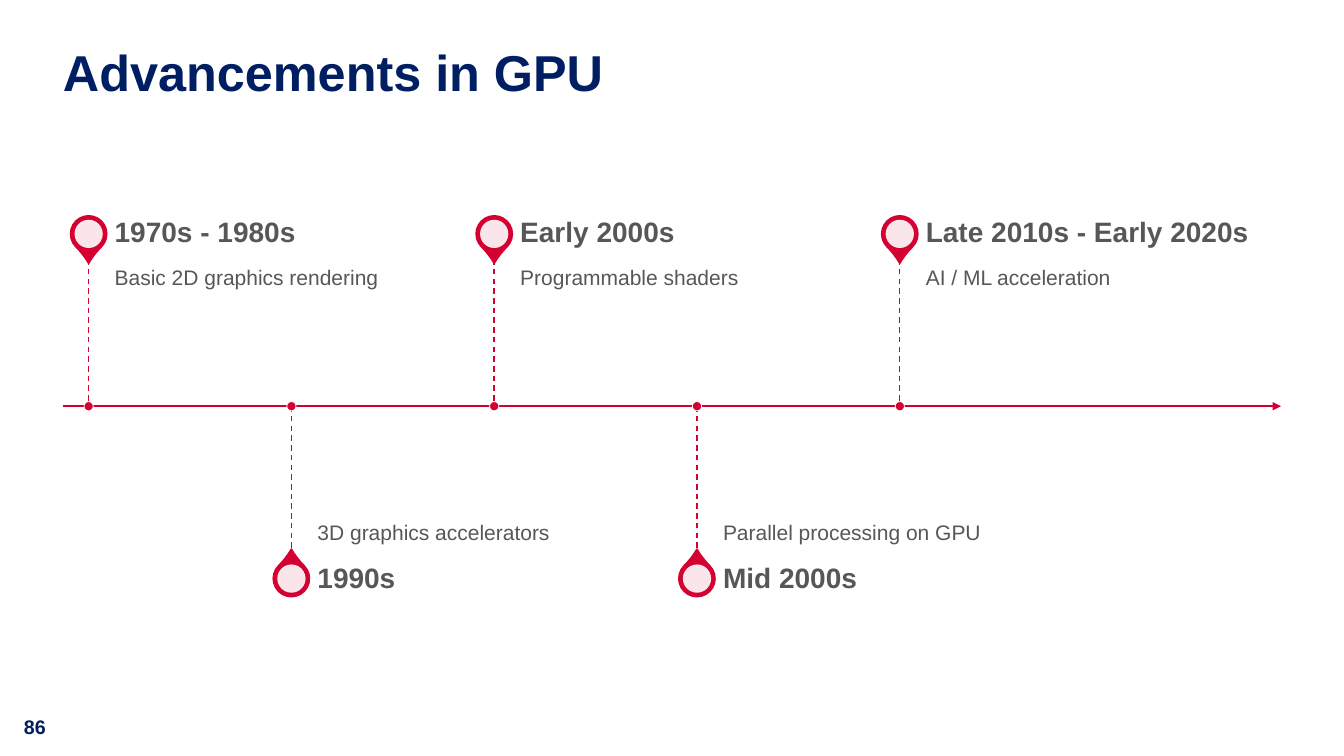
from lxml.etree import SubElement
from pptx import Presentation
from pptx.dml.color import RGBColor
from pptx.enum.dml import MSO_LINE_DASH_STYLE as Dash
from pptx.enum.shapes import MSO_CONNECTOR as Connector, MSO_SHAPE as Shape
from pptx.enum.text import MSO_ANCHOR as Anchor
from pptx.oxml.ns import qn
from pptx.util import Pt

NAVY = "001E62"
RED = "D40032"
GREY = "575757"
WHITE = "FFFFFF"

AXIS_Y = 290.16
FIRST_X = 63.3
STEP_X = 144.85
PIN_OFFSET = 123.1
STEM_LENGTH = 105.1
HEADING_HEIGHT = 36.7
TEXT_WIDTH = 241.2
TEXT_GAP = 18.6

MILESTONES = [
    ("1970s - 1980s", "Basic 2D graphics rendering"),
    ("1990s", "3D graphics accelerators"),
    ("Early 2000s", "Programmable shaders"),
    ("Mid 2000s", "Parallel processing on GPU"),
    ("Late 2010s - Early 2020s", "AI / ML acceleration"),
]


def color(value):
    return RGBColor.from_string(value)


class TimelineSlide:
    font = "Arial"

    def __init__(self, page):
        self.page = page

    def text(self, words, left, top, width, height, size, ink, bold=False,
             anchor=Anchor.TOP, insets=(0, 0, 0, 0), spacing=0.9):
        box = self.page.shapes.add_textbox(Pt(left), Pt(top), Pt(width), Pt(height))
        frame = box.text_frame
        frame.word_wrap = True
        frame.vertical_anchor = anchor
        (frame.margin_left, frame.margin_top,
         frame.margin_right, frame.margin_bottom) = map(Pt, insets)
        para = frame.paragraphs[0]
        para.line_spacing = spacing
        span = para.add_run()
        span.text = words
        span.font.name = self.font
        span.font.size = Pt(size)
        span.font.bold = bold
        span.font.color.rgb = color(ink)

    def shape(self, kind, x, y, size, fill, line=None, weight=1, alpha=None):
        shape = self.page.shapes.add_shape(
            kind, Pt(x - size / 2), Pt(y - size / 2), Pt(size), Pt(size))
        shape.shadow.inherit = False
        shape.fill.solid()
        shape.fill.fore_color.rgb = color(fill)
        if alpha is not None:
            tone = shape.fill._xPr.find(qn("a:solidFill"))[0]
            SubElement(tone, qn("a:alpha")).set("val", str(alpha * 1000))
        if line:
            shape.line.color.rgb = color(line)
            shape.line.width = Pt(weight)
        else:
            shape.line.fill.background()
        return shape

    def line(self, x1, y1, x2, y2, weight, dashed=False, arrow=False):
        line = self.page.shapes.add_connector(
            Connector.STRAIGHT, Pt(x1), Pt(y1), Pt(x2), Pt(y2))
        line.line.color.rgb = color(RED)
        line.line.width = Pt(weight)
        if dashed:
            line.line.dash_style = Dash.DASH
        if arrow:
            SubElement(line.line._get_or_add_ln(), qn("a:tailEnd")).set("type", "triangle")
        SubElement(line._element.spPr, qn("a:effectLst"))

    def pin(self, x, y, rotation):
        drop = self.shape(Shape.TEAR, x, y, 26, RED, RED)
        drop.adjustments[0] = 1.15
        drop.rotation = rotation
        self.shape(Shape.OVAL, x, y, 20.2, WHITE, alpha=90)

    def milestone(self, x, heading, detail, above):
        side = -1 if above else 1
        pin_y = AXIS_Y + side * PIN_OFFSET
        stem_y = AXIS_Y + side * STEM_LENGTH
        stem_top = min(stem_y, AXIS_Y)
        heading_top = stem_y - HEADING_HEIGHT if above else stem_y
        left = x + TEXT_GAP
        self.pin(x, pin_y, 135 if above else 315)
        self.text(detail, left, stem_top, TEXT_WIDTH, STEM_LENGTH, 15, GREY,
                  anchor=Anchor.TOP if above else Anchor.BOTTOM,
                  insets=(0, 7.2, 7.2, 11.5) if above else (0, 11.5, 0, 7.2))
        self.text(heading, left, heading_top, TEXT_WIDTH, HEADING_HEIGHT, 20, GREY,
                  bold=True, anchor=Anchor.MIDDLE, insets=(0, 0, 10, 0))
        self.line(x, stem_top, x, stem_top + STEM_LENGTH, 1, dashed=True)
        self.shape(Shape.OVAL, x, AXIS_Y, 6.6, RED, WHITE, 0.5)


def main():
    deck = Presentation()
    deck.slide_width = Pt(960)
    deck.slide_height = Pt(540)
    slide = TimelineSlide(deck.slides.add_slide(deck.slide_layouts[6]))
    slide.text("86", 10, 507, 47.5, 24.5, 14, NAVY, bold=True,
               insets=(7.2, 3.6, 7.2, 3.6), spacing=1.0)
    slide.text("Advancements in GPU", 45, 34, 870, 64, 36, NAVY, bold=True)
    slide.line(45, AXIS_Y, 915, AXIS_Y, 1.5, arrow=True)
    for index, (heading, detail) in enumerate(MILESTONES):
        slide.milestone(FIRST_X + index * STEP_X, heading, detail, index % 2 == 0)
    deck.save("out.pptx")


if __name__ == "__main__":
    main()
